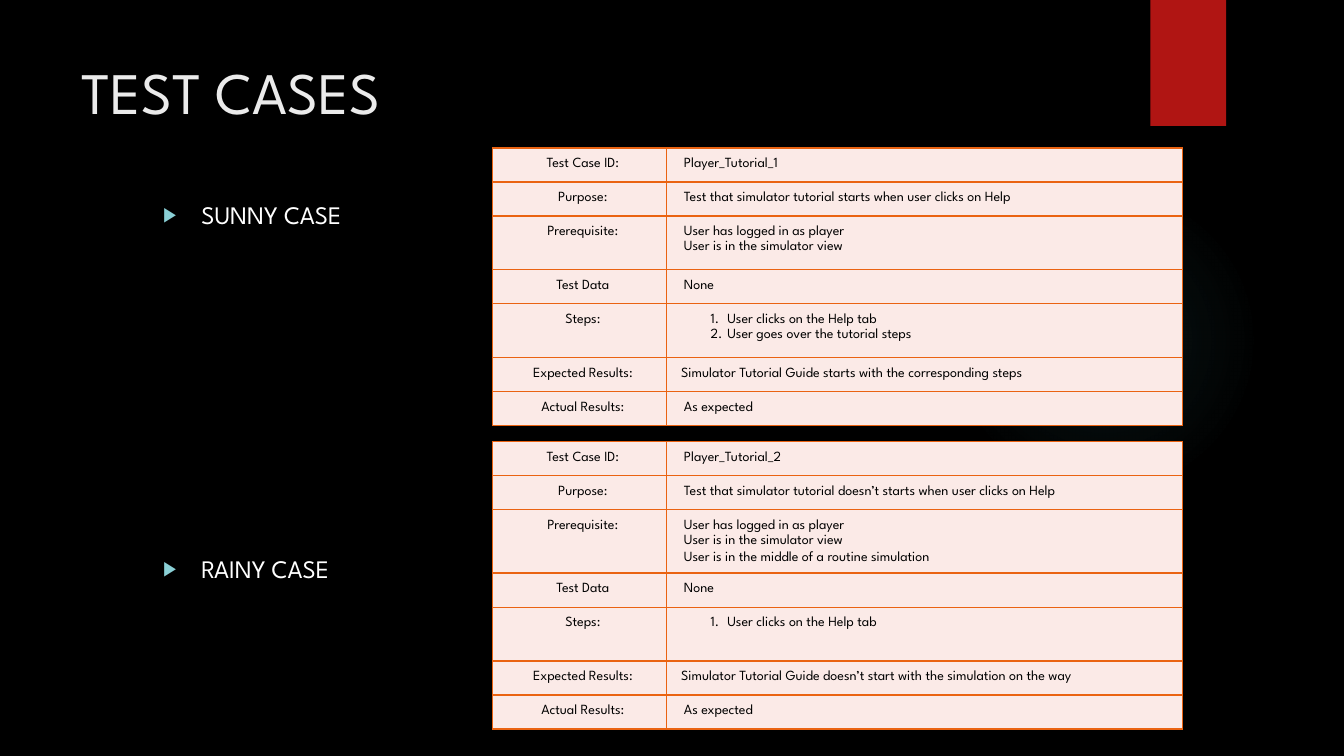
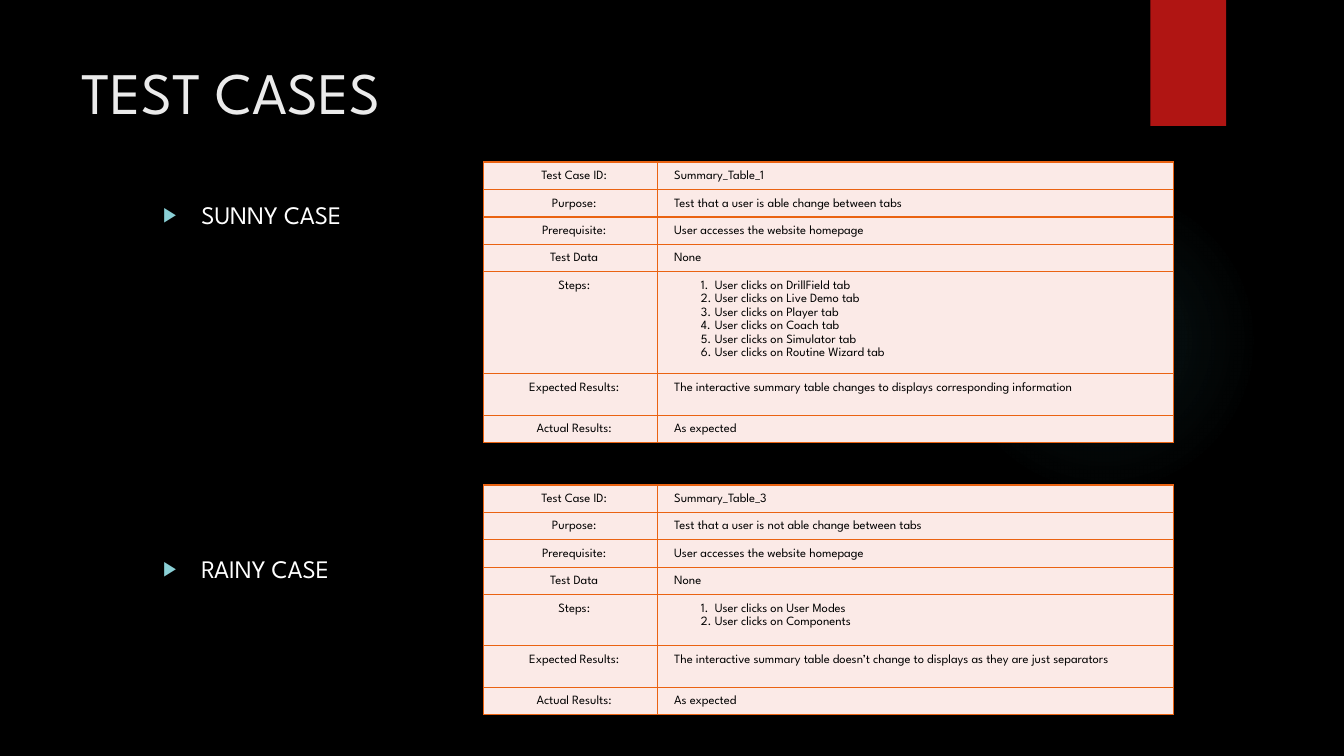
import pptx
import pptx.dml.color
import pptx.enum.shapes
import pptx.enum.text
import pptx.oxml
import pptx.oxml.ns
import pptx.util
from dataclasses import dataclass

Pt = pptx.util.Pt
RGBColor = pptx.dml.color.RGBColor
PP_ALIGN = pptx.enum.text.PP_ALIGN
MSO_SHAPE = pptx.enum.shapes.MSO_SHAPE

BLACK = RGBColor(0x00, 0x00, 0x00)
WHITE = RGBColor(0xFF, 0xFF, 0xFF)
TITLE_GREY = RGBColor(0xEB, 0xEB, 0xEB)
BAND_RED = RGBColor(0xB0, 0x15, 0x13)
GLOW_TEAL = RGBColor(0x50, 0xB9, 0xC1)
BULLET_TEAL = RGBColor(0x8A, 0xD0, 0xD6)
CELL_PINK = RGBColor(0xFB, 0xEA, 0xE7)
BORDER_ORANGE = RGBColor(0xEA, 0x63, 0x12)

FONT = "League Spartan"
LABELS = ["Test Case ID:", "Purpose:", "Prerequisite:", "Test Data",
          "Steps:", "Expected Results:", "Actual Results:"]
STEPS_ROW = LABELS.index("Steps:")
EXPECTED_ROW = LABELS.index("Expected Results:")
COLUMN_WIDTHS = [124, 368.6]
LABEL_INDENT = 5
VALUE_INDENT = 7
STEP_INDENT = 26


@dataclass
class TableStyle:
    left: float
    size: float
    line_pitch: float
    margin: float
    step_hanging: float
    expected_indent: float


TUTORIAL_STYLE = TableStyle(351.8, 10, 10.6, 5.76, 12, LABEL_INDENT)
SUMMARY_STYLE = TableStyle(345.6, 9, 9.6, 5, 10, VALUE_INDENT)

TUTORIAL_CASES = [
    (105.7, [24.3, 24.3, 38.2, 24.3, 38.5, 24.3, 24.3], [
        ["Player_Tutorial_1"],
        ["Test that simulator tutorial starts when user clicks on Help"],
        ["User has logged in as player", "User is in the simulator view"],
        ["None"],
        ["User clicks on the Help tab", "User goes over the tutorial steps"],
        ["Simulator Tutorial Guide starts with the corresponding steps"],
        ["As expected"],
    ]),
    (315.4, [24.3, 24.3, 45, 24.3, 38.5, 24.3, 24.3], [
        ["Player_Tutorial_2"],
        ["Test that simulator tutorial doesn’t starts when user clicks on Help"],
        ["User has logged in as player", "User is in the simulator view",
         "User is in the middle of a routine simulation"],
        ["None"],
        ["User clicks on the Help tab"],
        ["Simulator Tutorial Guide doesn’t start with the simulation on the way"],
        ["As expected"],
    ]),
]

SUMMARY_CASES = [
    (115.7, [19.6, 19.6, 19.6, 19.6, 72.6, 29.8, 19.6], [
        ["Summary_Table_1"],
        ["Test that a user is able change between tabs"],
        ["User accesses the website homepage"],
        ["None"],
        ["User clicks on DrillField tab", "User clicks on Live Demo tab",
         "User clicks on Player tab", "User clicks on Coach tab",
         "User clicks on Simulator tab", "User clicks on Routine Wizard tab"],
        ["The interactive summary table changes to displays corresponding information"],
        ["As expected"],
    ]),
    (346.4, [19.6, 19.6, 19.6, 19.6, 36.2, 29.8, 19.6], [
        ["Summary_Table_3"],
        ["Test that a user is not able change between tabs"],
        ["User accesses the website homepage"],
        ["None"],
        ["User clicks on User Modes", "User clicks on Components"],
        ["The interactive summary table doesn’t change to displays as they are just separators"],
        ["As expected"],
    ]),
]


def xml(tag, attributes="", inner=""):
    """Return one DrawingML element."""
    return pptx.oxml.parse_xml(
        f'<a:{tag} {pptx.oxml.ns.nsdecls("a")} {attributes}>{inner}</a:{tag}>')


def style_font(paragraph, size, color):
    paragraph.font.name = FONT
    paragraph.font.size = Pt(size)
    paragraph.font.color.rgb = color


def set_indent(paragraph, left, hanging=0):
    properties = paragraph._p.get_or_add_pPr()
    properties.set("marL", str(int(Pt(left))))
    properties.set("indent", str(int(Pt(-hanging))))
    return properties


def add_plain_shape(slide, preset, left, top, width, height):
    shape = slide.shapes.add_shape(preset, Pt(left), Pt(top), Pt(width), Pt(height))
    shape.shadow.inherit = False
    shape.line.fill.background()
    return shape


def add_glow(slide):
    """Add the faint round light that fades out to the background."""
    glow = add_plain_shape(slide, MSO_SHAPE.OVAL, 677.5, 131.8, 221.8, 221.8)
    stops = "".join(
        f'<a:gs pos="{position * 1000}"><a:srgbClr val="{GLOW_TEAL}">'
        f'<a:alpha val="{opacity * 1000}"/></a:srgbClr></a:gs>'
        for position, opacity in [(0, 7), (36, 6), (69, 0), (100, 0)])
    center = '<a:fillToRect l="50000" t="50000" r="50000" b="50000"/>'
    glow.fill.background()
    properties = glow._element.spPr
    no_fill = properties.find(pptx.oxml.ns.qn("a:noFill"))
    properties.replace(no_fill, xml(
        "gradFill", 'rotWithShape="1"',
        f'<a:gsLst>{stops}</a:gsLst><a:path path="circle">{center}</a:path>'))


def add_text_frame(slide, left, top, width, height):
    box = slide.shapes.add_textbox(Pt(left), Pt(top), Pt(width), Pt(height))
    box.text_frame.word_wrap = True
    return box.text_frame


def add_title(slide, text):
    title = add_text_frame(slide, 51.1, 36, 740.9, 110).paragraphs[0]
    title.text = text
    style_font(title, 42, TITLE_GREY)


def add_case_list(slide, names):
    frame = add_text_frame(slide, 109.4, 139, 346.3, 330.5)
    for number, name in enumerate(names):
        case = frame.add_paragraph() if number else frame.paragraphs[0]
        case.text = name
        case.space_before = Pt(231 * number)
        style_font(case, 18, WHITE)
        properties = set_indent(case, 27.4, 27.4)
        bullet = [xml("buClr", inner=f'<a:srgbClr val="{BULLET_TEAL}"/>'),
                  xml("buSzPct", 'val="80000"'),
                  xml("buFont", 'typeface="Arial"'),
                  xml("buChar", 'char="▶"')]
        for part in bullet:
            properties.find(pptx.oxml.ns.qn("a:defRPr")).addprevious(part)


def format_cell(cell, margin):
    cell.margin_left = cell.margin_right = Pt(margin)
    cell.margin_top = cell.margin_bottom = Pt(margin)
    cell.fill.solid()
    cell.fill.fore_color.rgb = CELL_PINK
    properties = cell._tc.get_or_add_tcPr()
    for position, side in enumerate("LRTB"):
        properties.insert(position, xml(
            f"ln{side}", f'w="{int(Pt(1))}"',
            f'<a:solidFill><a:srgbClr val="{BORDER_ORANGE}"/></a:solidFill>'))


def write_lines(cell, lines, style):
    format_cell(cell, style.margin)
    cell.text = "\n".join(lines)
    for paragraph in cell.text_frame.paragraphs:
        paragraph.line_spacing = Pt(style.line_pitch)
        style_font(paragraph, style.size, BLACK)
    return cell.text_frame.paragraphs


def write_label(cell, label, style):
    paragraph = write_lines(cell, [label], style)[0]
    paragraph.alignment = PP_ALIGN.CENTER
    set_indent(paragraph, LABEL_INDENT)


def write_value(cell, lines, row, style):
    for number, paragraph in enumerate(write_lines(cell, lines, style)):
        if row == STEPS_ROW:
            properties = set_indent(
                paragraph, STEP_INDENT + style.step_hanging, style.step_hanging)
            properties.find(pptx.oxml.ns.qn("a:defRPr")).addprevious(
                xml("buAutoNum", 'type="arabicPeriod"'))
            continue
        set_indent(paragraph,
                   style.expected_indent if row == EXPECTED_ROW else VALUE_INDENT)
        if number == 2:
            paragraph.space_before = Pt(2)


def add_case_table(slide, style, top, heights, values):
    table = slide.shapes.add_table(
        len(LABELS), 2, Pt(style.left), Pt(top),
        Pt(sum(COLUMN_WIDTHS)), Pt(sum(heights))).table
    table.first_row = table.horz_banding = False
    for column, width in zip(table.columns, COLUMN_WIDTHS):
        column.width = Pt(width)
    for row, (label, height, lines) in enumerate(zip(LABELS, heights, values)):
        table.rows[row].height = Pt(height)
        write_label(table.cell(row, 0), label, style)
        write_value(table.cell(row, 1), lines, row, style)


def add_test_slide(presentation, style, cases):
    slide = presentation.slides.add_slide(presentation.slide_layouts[6])
    add_glow(slide)
    band = add_plain_shape(slide, MSO_SHAPE.RECTANGLE, 821.8, 0, 54, 90)
    band.fill.solid()
    band.fill.fore_color.rgb = BAND_RED
    add_title(slide, "TEST CASES")
    add_case_list(slide, ["SUNNY CASE", "RAINY CASE"])
    for top, heights, values in cases:
        add_case_table(slide, style, top, heights, values)


def main():
    presentation = pptx.Presentation()
    presentation.slide_width = Pt(960)
    presentation.slide_height = Pt(540)
    background = presentation.slide_master.background.fill
    background.solid()
    background.fore_color.rgb = BLACK
    add_test_slide(presentation, TUTORIAL_STYLE, TUTORIAL_CASES)
    add_test_slide(presentation, SUMMARY_STYLE, SUMMARY_CASES)
    presentation.save("out.pptx")


if __name__ == "__main__":
    main()
